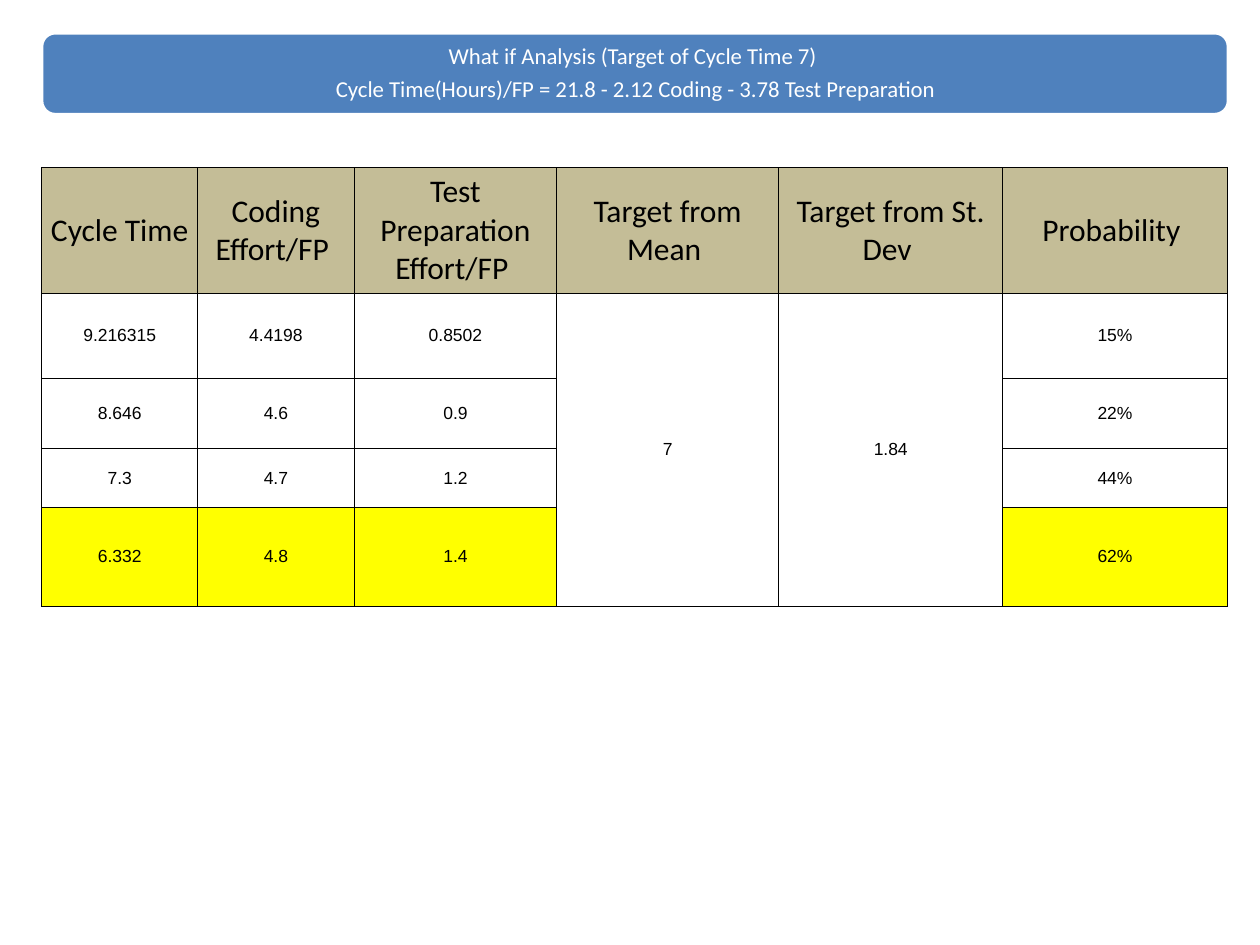
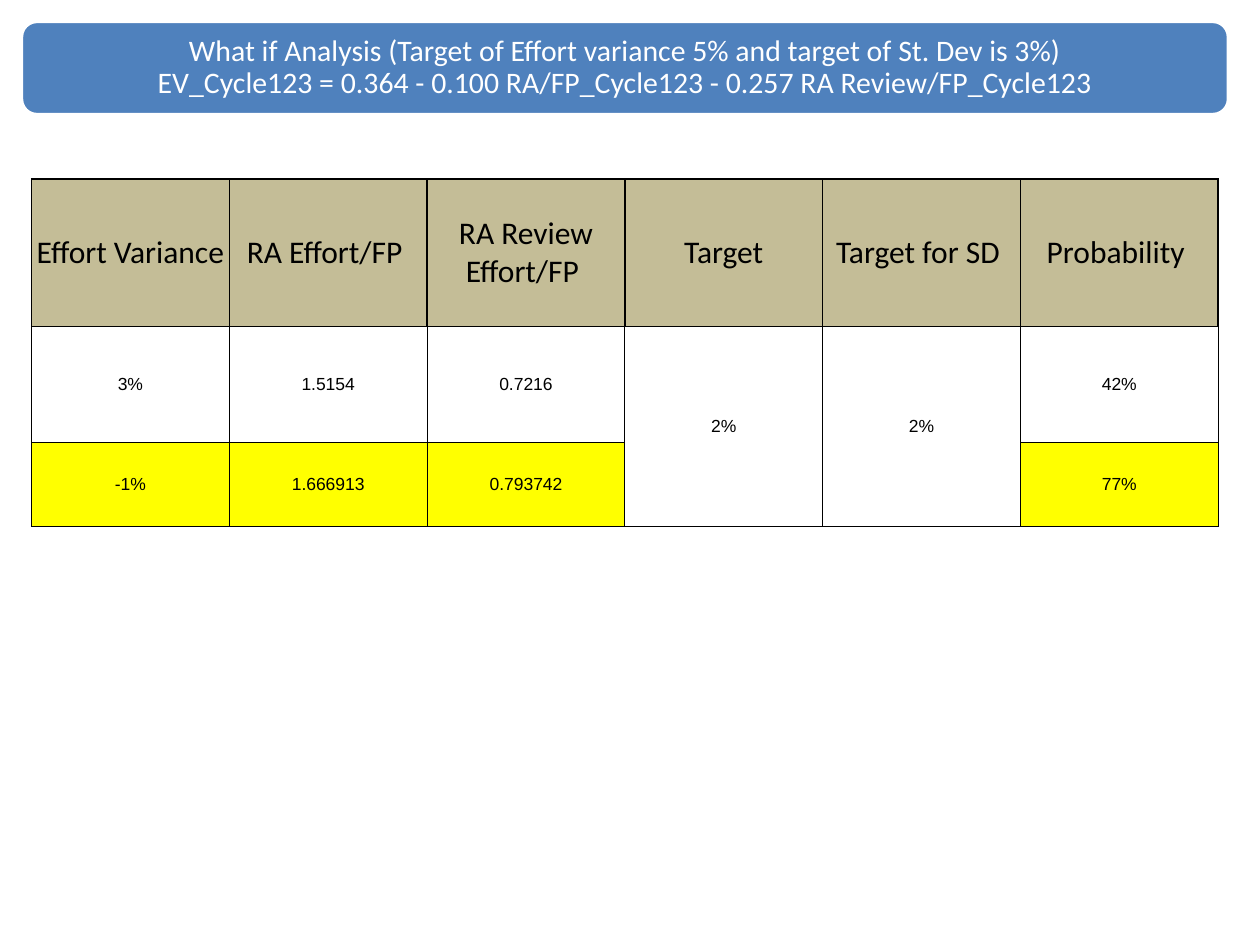
from dataclasses import dataclass

from lxml.etree import SubElement
from pptx import Presentation
from pptx.dml.color import RGBColor
from pptx.enum.shapes import MSO_SHAPE as Shape
from pptx.enum.text import MSO_ANCHOR as Anchor, PP_ALIGN as Align
from pptx.oxml.ns import qn
from pptx.util import Pt

EMU_PER_PX = 9144
BLANK_LAYOUT = 6
TARGET_COLUMNS = (3, 4)


def px(length):
    return length * EMU_PER_PX


@dataclass(frozen=True)
class Theme:
    banner: str = "4F81BD"
    white: str = "FFFFFF"
    black: str = "000000"
    header: str = "C4BD97"
    highlight: str = "FFFF00"
    heading_font: str = "Calibri"
    body_font: str = "Arial"
    header_size: int = 18
    body_size: int = 10
    banner_line: int = 2
    thin_line: float = 0.5


class Deck:
    def __init__(self, theme):
        self.theme = theme
        self.presentation = Presentation()
        self.presentation.slide_width = px(1000)
        self.presentation.slide_height = px(750)
        self.slide = None

    def add_slide(self):
        layout = self.presentation.slide_layouts[BLANK_LAYOUT]
        self.slide = self.presentation.slides.add_slide(layout)

    def style(self, paragraph, font, size, color):
        paragraph.alignment = Align.CENTER
        paragraph.font.name = font
        paragraph.font.size = Pt(size)
        paragraph.font.color.rgb = RGBColor.from_string(color)

    def banner(self, text, left, top, width, height, size):
        theme = self.theme
        shape = self.slide.shapes.add_shape(
            Shape.ROUNDED_RECTANGLE, px(left), px(top), px(width), px(height))
        shape.shadow.inherit = False
        shape.fill.solid()
        shape.fill.fore_color.rgb = RGBColor.from_string(theme.banner)
        shape.line.color.rgb = RGBColor.from_string(theme.white)
        shape.line.width = Pt(theme.banner_line)
        frame = shape.text_frame
        frame.word_wrap = True
        frame.vertical_anchor = Anchor.MIDDLE
        frame.margin_left = frame.margin_right = px(5)
        frame.margin_top = frame.margin_bottom = px(5)
        frame.text = text
        for paragraph in frame.paragraphs:
            paragraph.line_spacing = 0.9
            paragraph.space_after = Pt(size * 0.35)
            self.style(paragraph, theme.heading_font, size, theme.white)

    def border(self, cell, side_width):
        thin = self.theme.thin_line
        properties = cell._tc.get_or_add_tcPr()
        widths = {"lnL": side_width, "lnR": side_width, "lnT": side_width, "lnB": thin}
        for edge, width in widths.items():
            line = SubElement(properties, qn(f"a:{edge}"), w=str(Pt(width)))
            fill = SubElement(line, qn("a:solidFill"))
            SubElement(fill, qn("a:srgbClr"), val=self.theme.black)

    def cell(self, cell, text, font, size, fill, side_width):
        self.border(cell, side_width)
        cell.fill.solid()
        cell.fill.fore_color.rgb = RGBColor.from_string(fill)
        cell.margin_left = cell.margin_right = 0
        cell.margin_top = cell.margin_bottom = 0
        cell.vertical_anchor = Anchor.MIDDLE
        cell.text = text
        self.style(cell.text_frame.paragraphs[0], font, size, self.theme.black)

    def table(self, left, top, widths, heights, headers, scenarios, targets,
              header_line):
        theme = self.theme
        table = self.slide.shapes.add_table(
            len(heights), len(widths), px(left), px(top),
            px(sum(widths)), px(sum(heights))).table
        table.first_row = table.horz_banding = False
        for column, width in zip(table.columns, widths):
            column.width = px(width)
        for row, height in zip(table.rows, heights):
            row.height = px(height)
        for column, text in enumerate(headers):
            self.cell(table.cell(0, column), text, theme.heading_font,
                      theme.header_size, theme.header, header_line)
        last = len(scenarios)
        for row, (*inputs, probability) in enumerate(scenarios, 1):
            shown_targets = targets if row == 1 else [""] * len(targets)
            for column, text in enumerate([*inputs, *shown_targets, probability]):
                highlighted = row == last and column not in TARGET_COLUMNS
                fill = theme.highlight if highlighted else theme.white
                self.cell(table.cell(row, column), text, theme.body_font,
                          theme.body_size, fill, theme.thin_line)
        for column in TARGET_COLUMNS:
            table.cell(1, column).merge(table.cell(last, column))


def main():
    deck = Deck(Theme())

    deck.add_slide()
    deck.banner("What if Analysis (Target of Cycle Time 7) \n"
                "Cycle Time(Hours)/FP = 21.8 - 2.12 Coding - 3.78 Test Preparation",
                33, 26, 942, 65, 13)
    deck.table(
        33, 133, [124, 124, 161, 176, 178, 178], [100, 67, 56, 47, 78],
        ["Cycle Time", "Coding Effort/FP ", "Test Preparation Effort/FP ",
         "Target from Mean ", "Target from St. Dev ", "Probability "],
        [("9.216315", "4.4198", "0.8502", "15%"),
         ("8.646", "4.6", "0.9", "22%"),
         ("7.3", "4.7", "1.2", "44%"),
         ("6.332", "4.8", "1.4", "62%")],
        ["7", "1.84"], header_line=0.5)

    deck.add_slide()
    deck.banner("What if Analysis (Target of Effort variance 5% and target of St. Dev is 3%)\v"
                "EV_Cycle123 = 0.364 - 0.100 RA/FP_Cycle123 - 0.257 RA Review/FP_Cycle123",
                17, 17, 958, 74, 17)
    deck.table(
        25, 142, [157] * 6, [117, 92, 67],
        ["Effort Variance", "RA Effort/FP ", "RA Review Effort/FP ",
         "Target", "Target for SD ", "Probability "],
        [("3%", "1.5154", "0.7216", "42%"),
         ("-1%", "1.666913", "0.793742", "77%")],
        ["2%", "2%"], header_line=1)

    deck.presentation.save("out.pptx")


if __name__ == "__main__":
    main()
